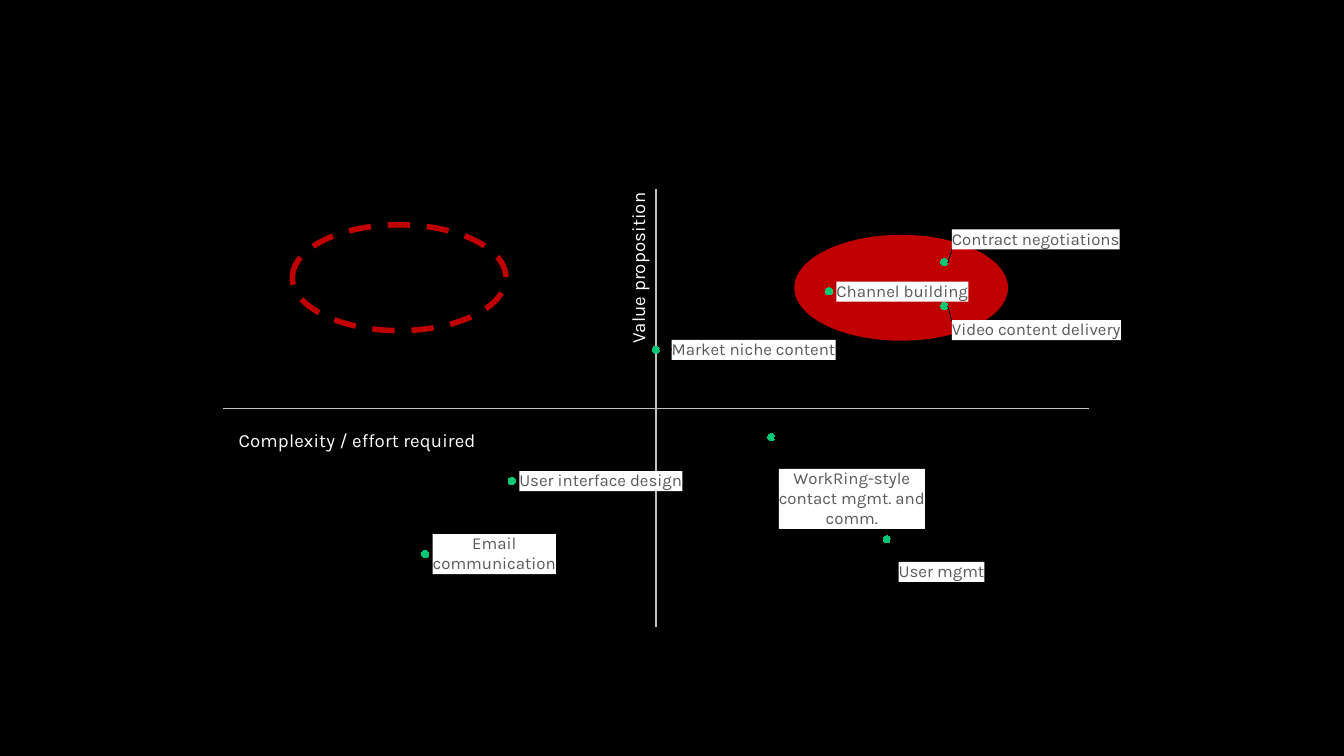
"""Builds a value versus effort matrix of platform features."""
import dataclasses
import typing

import lxml.etree
import pptx
import pptx.chart.data
import pptx.dml.color
import pptx.enum.chart
import pptx.enum.dml
import pptx.enum.shapes
import pptx.oxml
import pptx.oxml.ns
import pptx.util

Pt = pptx.util.Pt
RGB = pptx.dml.color.RGBColor.from_string
qn = pptx.oxml.ns.qn


@dataclasses.dataclass(frozen=True)
class Theme:
    font: str = "Karla"
    background: str = "000000"
    zone: str = "C00000"
    marker: str = "01C676"
    axis: str = "BFBFBF"
    axis_title: str = "FFFFFF"
    label: str = "595959"
    label_fill: str = "FFFFFF"
    base_size: float = 10
    label_size: float = 12
    title_size: float = 13.3


class Feature(typing.NamedTuple):
    name: str
    effort: float
    value: float
    shift_x: float = 0
    shift_y: float = 0


class Zone(typing.NamedTuple):
    left: float
    top: float
    filled: bool


class AxisPlan(typing.NamedTuple):
    title: str
    limit: float
    step: float
    title_x: float
    title_y: float
    rotation: int


THEME = Theme()
ZONE_SIZE = (152.64, 75.6)
FILLED_ZONE = Zone(567.36, 167.76, True)
DASHED_ZONE = Zone(208.8, 160.56, False)
EFFORT = AxisPlan("Complexity / effort required", 1.5, 1, 0.017, 0.506, 0)
VALUE = AxisPlan("Value proposition", 150, 100, 0.444, 0.048, -5400000)
FEATURES = [
    Feature("Channel building", 0.6, 80),
    Feature("Contract negotiations", 1, 100, 0, -0.045),
    Feature("Email communication", -0.8, -100),
    Feature("User interface design", -0.5, -50),
    Feature("WorkRing-style contact mgmt. and comm.", 0.4, -20, 0, 0.12),
    Feature("Video content delivery", 1, 70, 0, 0.047),
    Feature("User mgmt", 0.8, -90, 0.005, 0.063),
    Feature("Market niche content", 0, 40, 0.009, 0),
]


def set_layout(parent, index: int, **settings) -> None:
    """Give a chart part a manual layout at its place among the children."""
    for former in parent.findall(qn("c:layout")):
        parent.remove(former)
    layout = parent.makeelement(qn("c:layout"))
    manual = lxml.etree.SubElement(layout, qn("c:manualLayout"))
    for tag, setting in settings.items():
        lxml.etree.SubElement(manual, qn(f"c:{tag}")).set("val", str(setting))
    parent.insert(index, layout)


def style_font(font, size: float, color: str) -> None:
    """Apply the theme typeface with a size and colour."""
    font.name = THEME.font
    font.size = Pt(size)
    font.bold = False
    font.color.rgb = RGB(color)


def add_zone(slide, zone: Zone) -> None:
    """Draw a highlighted oval area."""
    oval = slide.shapes.add_shape(
        pptx.enum.shapes.MSO_SHAPE.OVAL, Pt(zone.left), Pt(zone.top), *map(Pt, ZONE_SIZE))
    oval.shadow.inherit = False
    if zone.filled:
        oval.fill.solid()
        oval.fill.fore_color.rgb = RGB(THEME.zone)
        oval.line.fill.background()
    else:
        oval.fill.background()
        oval.line.color.rgb = RGB(THEME.zone)
        oval.line.width = Pt(4)
        oval.line.dash_style = pptx.enum.dml.MSO_LINE.DASH


def style_axis(axis, plan: AxisPlan) -> None:
    """Set scale, line and title of one axis."""
    axis.minimum_scale, axis.maximum_scale = -plan.limit, plan.limit
    axis.major_unit = plan.step
    axis.has_major_gridlines = False
    axis.major_tick_mark = axis.minor_tick_mark = pptx.enum.chart.XL_TICK_MARK.NONE
    axis.tick_label_position = pptx.enum.chart.XL_TICK_LABEL_POSITION.NONE
    style_font(axis.tick_labels.font, THEME.label_size, THEME.label)
    axis.format.line.color.rgb = RGB(THEME.axis)
    axis.format.line.width = Pt(0.75)
    paragraph = axis.axis_title.text_frame.paragraphs[0]
    paragraph.text = plan.title
    style_font(paragraph.font, THEME.title_size, THEME.axis_title)
    title = axis.axis_title.element
    body = next(title.iter(qn("a:bodyPr")))
    body.set("rot", str(plan.rotation))
    body.set("vert", "horz")
    set_layout(title, 1, xMode="edge", yMode="edge", x=plan.title_x, y=plan.title_y)


def label_features(chart, series) -> None:
    """Name every point on a filled label beside its marker."""
    for index, feature in enumerate(FEATURES):
        label = series.points[index].data_label
        label.position = pptx.enum.chart.XL_LABEL_POSITION.RIGHT
        label.text_frame.word_wrap = True
        paragraph = label.text_frame.paragraphs[0]
        paragraph.text = feature.name
        style_font(paragraph.font, THEME.label_size, THEME.label)
        style_font(paragraph.runs[0].font, THEME.label_size, THEME.label)
    for element, feature in zip(chart.element.iter(qn("c:dLbl")), FEATURES):
        if feature.shift_x or feature.shift_y:
            set_layout(element, 1, x=feature.shift_x, y=feature.shift_y)
        for former in element.findall(qn("c:spPr")):
            element.remove(former)
        element.find(qn("c:tx")).addnext(pptx.oxml.parse_xml(
            f'<c:spPr {pptx.oxml.ns.nsdecls("c", "a")}><a:solidFill>'
            f'<a:srgbClr val="{THEME.label_fill}"/></a:solidFill></c:spPr>'))


def add_matrix(slide) -> None:
    """Plot the features by effort and value."""
    data = pptx.chart.data.XyChartData()
    points = data.add_series("Series 1")
    for feature in FEATURES:
        points.add_data_point(feature.effort, feature.value)
    chart = slide.shapes.add_chart(
        pptx.enum.chart.XL_CHART_TYPE.XY_SCATTER,
        Pt(156.96), Pt(117.36), Pt(646.56), Pt(366.48), data).chart
    chart.has_title = chart.has_legend = False
    style_font(chart.font, THEME.base_size, THEME.background)
    chart.plots[0].vary_by_categories = False
    set_layout(next(chart.element.iter(qn("c:plotArea"))), 0, layoutTarget="inner",
               xMode="edge", yMode="edge", x=0.004, y=0.049, w=0.956, h=0.853)
    style_axis(chart.category_axis, EFFORT)
    style_axis(chart.value_axis, VALUE)
    series = chart.plots[0].series[0]
    series.smooth = False
    series.format.line.fill.background()
    series.marker.style = pptx.enum.chart.XL_MARKER_STYLE.CIRCLE
    series.marker.size = 5
    series.marker.format.fill.solid()
    series.marker.format.fill.fore_color.rgb = RGB(THEME.marker)
    series.marker.format.line.color.rgb = RGB(THEME.marker)
    label_features(chart, series)


def main() -> None:
    """Build and save the slide."""
    deck = pptx.Presentation()
    deck.slide_width, deck.slide_height = Pt(960), Pt(540)
    slide = deck.slides.add_slide(deck.slide_layouts[6])
    slide.background.fill.solid()
    slide.background.fill.fore_color.rgb = RGB(THEME.background)
    add_zone(slide, FILLED_ZONE)
    add_matrix(slide)
    add_zone(slide, DASHED_ZONE)
    deck.save("out.pptx")


if __name__ == "__main__":
    main()
